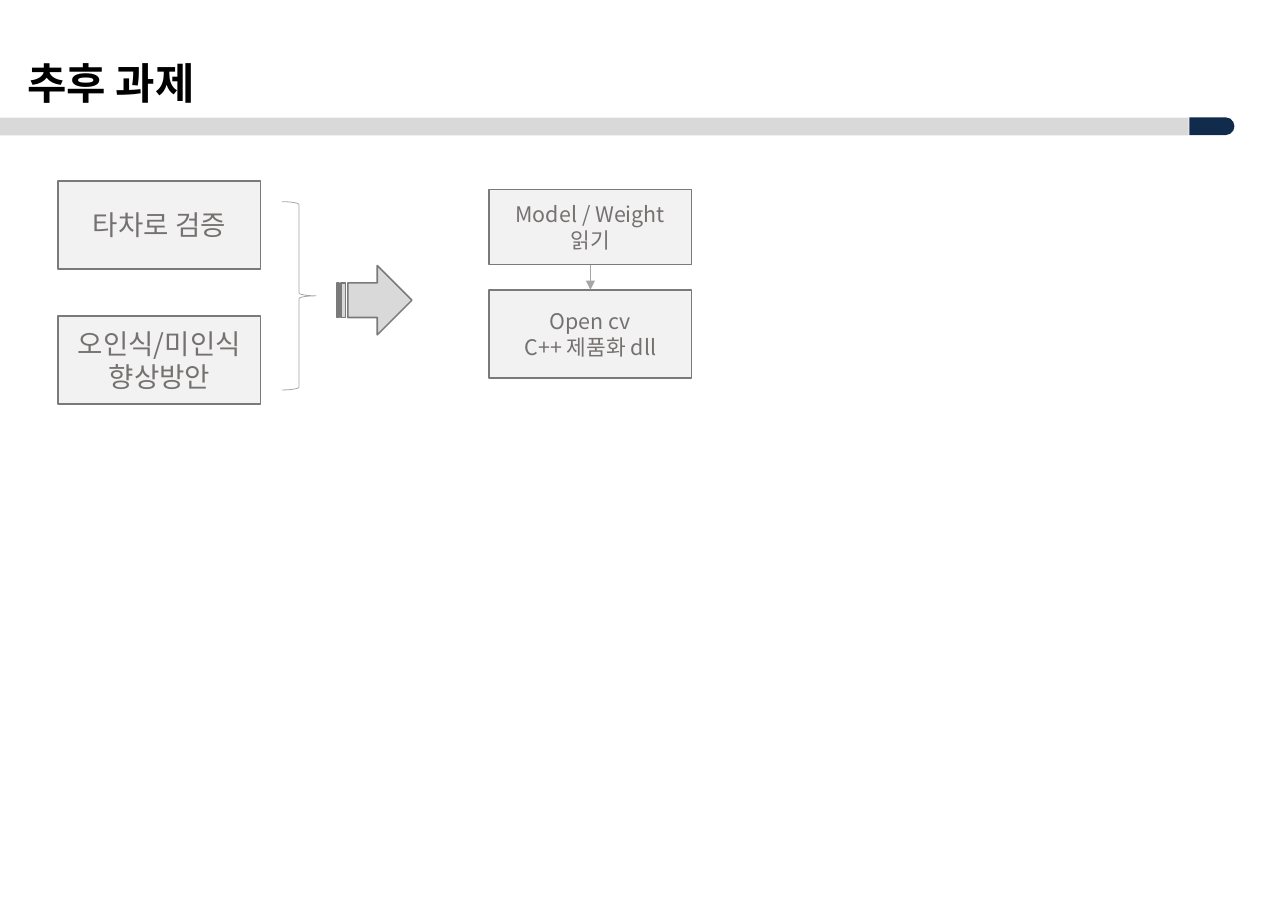
from lxml import etree
from pptx import Presentation
from pptx.dml.color import RGBColor
from pptx.enum.shapes import MSO_CONNECTOR, MSO_SHAPE
from pptx.enum.text import MSO_ANCHOR, MSO_AUTO_SIZE, PP_ALIGN
from pptx.oxml.ns import qn
from pptx.util import Cm, Pt

RECTANGLE = MSO_SHAPE.RECTANGLE
ROUNDED_END = MSO_SHAPE.ROUND_2_SAME_RECTANGLE
STRIPED_ARROW = MSO_SHAPE.STRIPED_RIGHT_ARROW
RIGHT_BRACE = MSO_SHAPE.RIGHT_BRACE
STRAIGHT = MSO_CONNECTOR.STRAIGHT
MIDDLE = MSO_ANCHOR.MIDDLE
CENTER, LEFT = PP_ALIGN.CENTER, PP_ALIGN.LEFT

FONT = "Noto Sans CJK KR"
BLACK = RGBColor(0x00, 0x00, 0x00)
NAVY = RGBColor(0x10, 0x2B, 0x4C)
LIGHT_GRAY = RGBColor(0xD9, 0xD9, 0xD9)
BOX_FILL = RGBColor(0xF2, 0xF2, 0xF2)
BOX_LINE = RGBColor(0x7A, 0x7A, 0x7A)
BOX_TEXT = RGBColor(0x76, 0x71, 0x71)
THIN_LINE = RGBColor(0xA6, 0xA6, 0xA6)

deck = Presentation()
deck.slide_width, deck.slide_height = Cm(29.7), Cm(21)
page = deck.slides.add_slide(deck.slide_layouts[5])


def add_shape(kind, left, top, width, height, fill=None, line=None, weight=1):
    shape = page.shapes.add_shape(kind, Cm(left), Cm(top), Cm(width), Cm(height))
    shape.shadow.inherit = False
    if fill is None:
        shape.fill.background()
    else:
        shape.fill.solid()
        shape.fill.fore_color.rgb = fill
    if line is None:
        shape.line.fill.background()
    else:
        shape.line.color.rgb = line
        shape.line.width = Pt(weight)
    return shape


def write(shape, text, size, color, align, bold=False):
    frame = shape.text_frame
    frame.text = text
    frame.vertical_anchor = MIDDLE
    for para in frame.paragraphs:
        para.alignment = align
        for span in para.runs:
            span.font.size = Pt(size)
            span.font.name = FONT
            span.font.bold = bold
            span.font.color.rgb = color
            east_asian = etree.SubElement(span.font._element, qn("a:ea"))
            east_asian.set("typeface", FONT)


# Header bar with a rounded end
add_shape(RECTANGLE, 0, 2.71, 27.41, 0.41, LIGHT_GRAY)
bar_end = add_shape(ROUNDED_END, 27.74, 2.39, 0.41, 1.04, NAVY)
bar_end.adjustments[0] = 0.5
bar_end.rotation = 90

# Title
title = page.shapes.title
title.left, title.top, title.width, title.height = Cm(0.38), Cm(1.17), Cm(4.85), Cm(1.45)
write(title, "추후 과제", 28, BLACK, LEFT, bold=True)
title.text_frame.word_wrap = False
title.text_frame.auto_size = MSO_AUTO_SIZE.SHAPE_TO_FIT_TEXT

# Task boxes: left, top, height, text size, text
tasks = [
    (1.34, 4.17, 2.03, 18, "타차로 검증"),
    (1.34, 7.29, 2.03, 18, "오인식/미인식 향상방안"),
    (11.28, 4.37, 1.73, 14, "Model / Weight\n읽기"),
    (11.28, 6.68, 2.03, 14, "Open cv\nC++ 제품화 dll"),
]
boxes = []
for left, top, height, size, text in tasks:
    box = add_shape(RECTANGLE, left, top, 4.67, height, BOX_FILL, BOX_LINE)
    write(box, text, size, BOX_TEXT, CENTER)
    boxes.append(box)

# Brace and block arrow from the left tasks to the right ones
add_shape(RIGHT_BRACE, 6.5, 4.65, 0.79, 4.34, line=THIN_LINE, weight=0.5)
add_shape(STRIPED_ARROW, 7.77, 6.12, 1.73, 1.6, LIGHT_GRAY, BOX_LINE)

# Arrow from reading the model to the product
arrow = page.shapes.add_connector(STRAIGHT, 0, 0, 0, 0)
arrow.begin_connect(boxes[2], 2)
arrow.end_connect(boxes[3], 0)
arrow.line.color.rgb = THIN_LINE
arrow.line.width = Pt(0.5)
etree.SubElement(arrow.line._get_or_add_ln(), qn("a:tailEnd")).set("type", "triangle")
etree.SubElement(arrow._element.spPr, qn("a:effectLst"))

deck.save("out.pptx")
